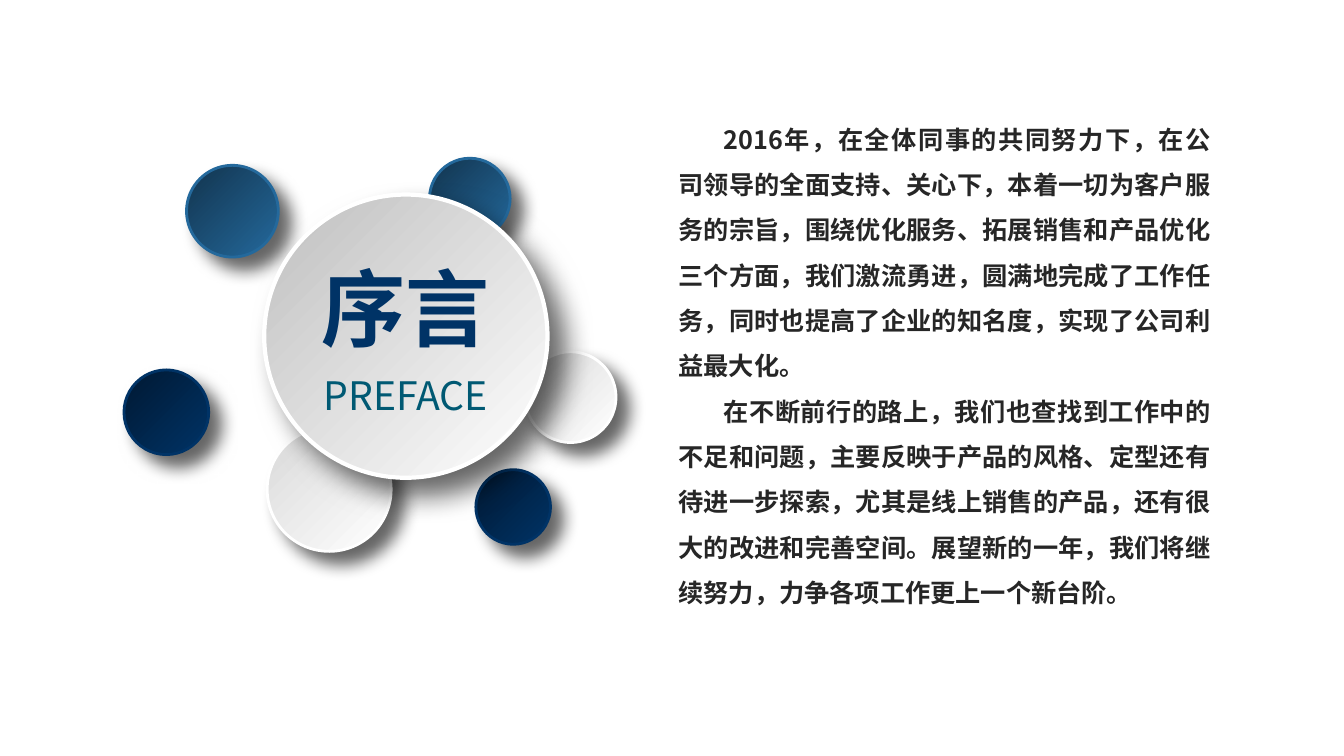
from lxml import etree
from pptx import Presentation
from pptx.dml.color import RGBColor
from pptx.enum.shapes import MSO_SHAPE
from pptx.enum.text import MSO_AUTO_SIZE, PP_ALIGN
from pptx.oxml.ns import qn
from pptx.util import Inches, Pt

OVAL = MSO_SHAPE.OVAL
CENTER, JUSTIFY = PP_ALIGN.CENTER, PP_ALIGN.JUSTIFY
FIT_SHAPE = MSO_AUTO_SIZE.SHAPE_TO_FIT_TEXT
FONT = "Noto Sans CJK SC"

# Gradient from lower right to upper left; the rim takes the first colour
NAVY = ("003366", "001933")
BLUE = ("24699C", "12344E")
WHITE = ("FFFFFF", "D9D9D9")
SILVER = ("FFFFFF", "BFBFBF")

# left, top, diameter (inches), gradient, rim width, shadow blur, shadow distance
SMALL = (2, 12, 12)
LARGE = (3, 20, 16)
CIRCLES = [
    (4.72, 4.66, 0.74, NAVY, *SMALL),
    (1.85, 1.64, 0.91, BLUE, *SMALL),
    (1.23, 3.67, 0.84, NAVY, *SMALL),
    (4.26, 1.57, 0.80, BLUE, *SMALL),
    (2.65, 4.24, 1.23, WHITE, *SMALL),
    (5.21, 3.49, 0.90, WHITE, *SMALL),
    (2.62, 1.93, 2.81, SILVER, *LARGE),
]

TITLE = "序言"
SUBTITLE = "PREFACE"
BODY = [
    "2016年，在全体同事的共同努力下，在公司领导的全面支持、关心下，本着一切为客户服务的宗旨，"
    "围绕优化服务、拓展销售和产品优化三个方面，我们激流勇进，圆满地完成了工作任务，"
    "同时也提高了企业的知名度，实现了公司利益最大化。",
    "在不断前行的路上，我们也查找到工作中的不足和问题，主要反映于产品的风格、定型还有待进一步探索，"
    "尤其是线上销售的产品，还有很大的改进和完善空间。展望新的一年，我们将继续努力，"
    "力争各项工作更上一个新台阶。",
]


def color(value):
    return RGBColor.from_string(value)


def add_shadow(shape, blur, distance):
    """Cast a 60 % black shadow to the lower right; lengths in points."""
    shape.shadow.inherit = False
    effects = shape._element.spPr.find(qn("a:effectLst"))
    shadow = etree.SubElement(
        effects, qn("a:outerShdw"), blurRad=str(Pt(blur)), dist=str(Pt(distance)),
        dir=str(45 * 60000), algn="tl", rotWithShape="0")
    black = etree.SubElement(shadow, qn("a:srgbClr"), val="000000")
    etree.SubElement(black, qn("a:alpha"), val="60000")


def add_circle(slide, left, top, diameter, gradient, rim, blur, distance):
    circle = slide.shapes.add_shape(
        OVAL, Inches(left), Inches(top), Inches(diameter), Inches(diameter))
    circle.fill.gradient()
    circle.fill.gradient_angle = 135
    for stop, value in zip(circle.fill.gradient_stops, gradient):
        stop.color.rgb = color(value)
    circle.line.color.rgb = color(gradient[0])
    circle.line.width = Pt(rim)
    add_shadow(circle, blur, distance)


def add_text(slide, box, texts, size, text_color, bold=False, wrap=True,
             alignment=CENTER, spacing=None, indent=0):
    text_box = slide.shapes.add_textbox(*(Inches(length) for length in box))
    frame = text_box.text_frame
    frame.word_wrap = wrap
    frame.auto_size = FIT_SHAPE
    for number, text in enumerate(texts):
        paragraph = frame.add_paragraph() if number else frame.paragraphs[0]
        paragraph.alignment = alignment
        paragraph.line_spacing = spacing
        if indent:
            properties = paragraph._p.get_or_add_pPr()
            properties.set("marL", "0")
            properties.set("indent", str(Inches(indent)))
        run = paragraph.add_run()
        run.text = text
        run.font.size = Pt(size)
        run.font.bold = bold
        run.font.name = FONT
        run.font.color.rgb = color(text_color)
        etree.SubElement(run._r.get_or_add_rPr(), qn("a:ea"), typeface=FONT)


def main():
    presentation = Presentation()
    presentation.slide_width, presentation.slide_height = Inches(13.33), Inches(7.5)
    slide = presentation.slides.add_slide(presentation.slide_layouts[6])
    for circle in CIRCLES:
        add_circle(slide, *circle)
    add_text(slide, (3.08, 2.5, 1.88, 1.11), [TITLE], 60, "003366", bold=True, wrap=False)
    add_text(slide, (2.74, 3.63, 2.57, 0.57), [SUBTITLE], 28, "005973")
    add_text(slide, (6.63, 1.03, 5.48, 5.1), BODY, 18, "262626", bold=True,
             alignment=JUSTIFY, spacing=1.5, indent=0.45)
    presentation.save("out.pptx")


if __name__ == "__main__":
    main()
